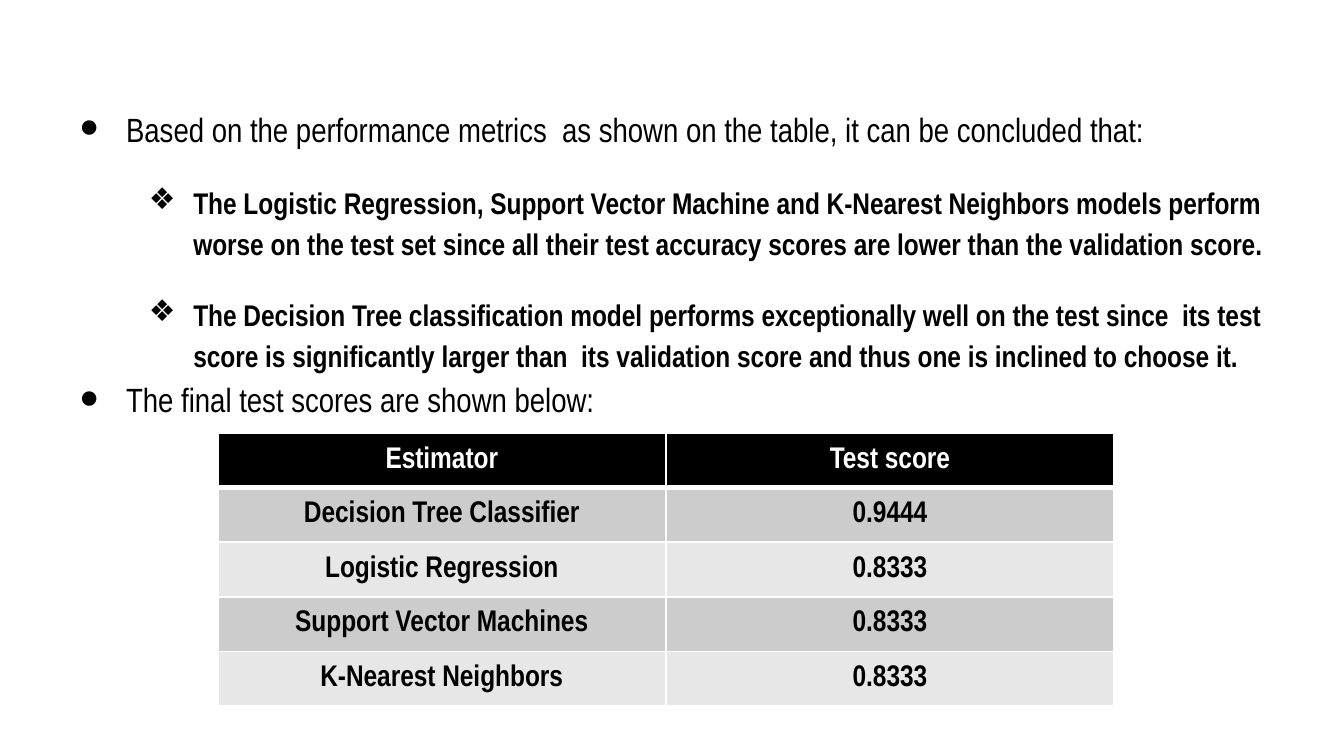
from pptx import Presentation
from pptx import util as u
from pptx.dml.color import RGBColor
from pptx.enum import text
from pptx.oxml import parse_xml
from pptx.oxml.ns import nsdecls

WIDTH = 10
HEIGHT = WIDTH * 9 / 16
FONT = "Arial Narrow"
COLOURS = {"ink": "000000", "paper": "FFFFFF", "dark_band": "CCCCCC", "light_band": "E7E7E7"}
LEVELS = [
    {"mark": "●", "left": 0.5, "hang": 0.35, "before": 0, "size": 18, "bold": False},
    {"mark": "❖", "left": 1, "hang": 0.33, "before": 16, "size": 16, "bold": True},
]
CONCLUSIONS = [
    (0, "Based on the performance metrics  as shown on the table, it can be concluded that:"),
    (1, "The Logistic Regression, Support Vector Machine and K-Nearest Neighbors models perform "
        "worse on the test set since all their test accuracy scores are lower than the validation score."),
    (1, "The Decision Tree classification model performs exceptionally well on the test since  its test "
        "score is significantly larger than  its validation score and thus one is inclined to choose it."),
    (0, "The final test scores are shown below:"),
]
SCORES = [
    ("Estimator", "Test score"),
    ("Decision Tree Classifier", "0.9444"),
    ("Logistic Regression", "0.8333"),
    ("Support Vector Machines", "0.8333"),
    ("K-Nearest Neighbors", "0.8333"),
]


def area(left, top, width, height):
    return [u.Inches(share * side) for share, side in
            zip((left, top, width, height), (WIDTH, HEIGHT, WIDTH, HEIGHT))]


def write(para, words, size=16, bold=True, colour="ink", align=None):
    para.alignment = align
    span = para.add_run()
    span.text = words
    span.font.name = FONT
    span.font.size = u.Pt(size)
    span.font.bold = bold
    span.font.color.rgb = RGBColor.from_string(COLOURS[colour])


def add_bullet(para, mark, left, hang):
    props = para._p.get_or_add_pPr()
    props.set("marL", str(u.Inches(left)))
    props.set("indent", str(-u.Inches(hang)))
    props.append(parse_xml(f'<a:buClr {nsdecls("a")}><a:srgbClr val="{COLOURS["ink"]}"/></a:buClr>'))
    props.append(parse_xml(f'<a:buFont {nsdecls("a")} typeface="{FONT}"/>'))
    props.append(parse_xml(f'<a:buChar {nsdecls("a")} char="{mark}"/>'))


def add_conclusions(page):
    box = page.shapes.add_textbox(*area(0.034, 0.118, 0.923, 0.77))
    frame = box.text_frame
    frame.word_wrap = True
    frame.margin_left = frame.margin_right = frame.margin_top = frame.margin_bottom = u.Inches(0.1)
    for index, (level, words) in enumerate(CONCLUSIONS):
        style = LEVELS[level]
        para = frame.add_paragraph() if index else frame.paragraphs[0]
        para.level = level
        para.line_spacing = 1.15
        para.space_before = u.Pt(style["before"])
        add_bullet(para, style["mark"], style["left"], style["hang"])
        write(para, words, size=style["size"], bold=style["bold"])


def add_borders(cell, **widths):
    props = cell._tc.get_or_add_tcPr()
    for side in "LRTB":
        props.append(parse_xml(
            f'<a:ln{side} {nsdecls("a")} w="{u.Pt(widths.get(side, 1))}"><a:solidFill>'
            f'<a:srgbClr val="{COLOURS["paper"]}"/></a:solidFill></a:ln{side}>'))


def fill_cell(cell, row, words):
    colour = "ink" if row == 0 else "dark_band" if row % 2 else "light_band"
    add_borders(cell, **{0: {"B": 3}, 1: {"T": 3}}.get(row, {}))
    cell.fill.solid()
    cell.fill.fore_color.rgb = RGBColor.from_string(COLOURS[colour])
    cell.vertical_anchor = text.MSO_ANCHOR.MIDDLE
    write(cell.text_frame.paragraphs[0], words, colour="ink" if row else "paper",
          align=text.PP_ALIGN.CENTER)


def add_scores(page):
    place = area(0.162, 0.573, 0.667, 0.361)
    table = page.shapes.add_table(len(SCORES), len(SCORES[0]), *place).table
    for row, record in enumerate(SCORES):
        for column, words in enumerate(record):
            fill_cell(table.cell(row, column), row, words)


def main():
    deck = Presentation()
    deck.slide_width, deck.slide_height = u.Inches(WIDTH), u.Inches(HEIGHT)
    page = deck.slides.add_slide(deck.slide_layouts[6])
    add_conclusions(page)
    add_scores(page)
    deck.save("out.pptx")


if __name__ == "__main__":
    main()
